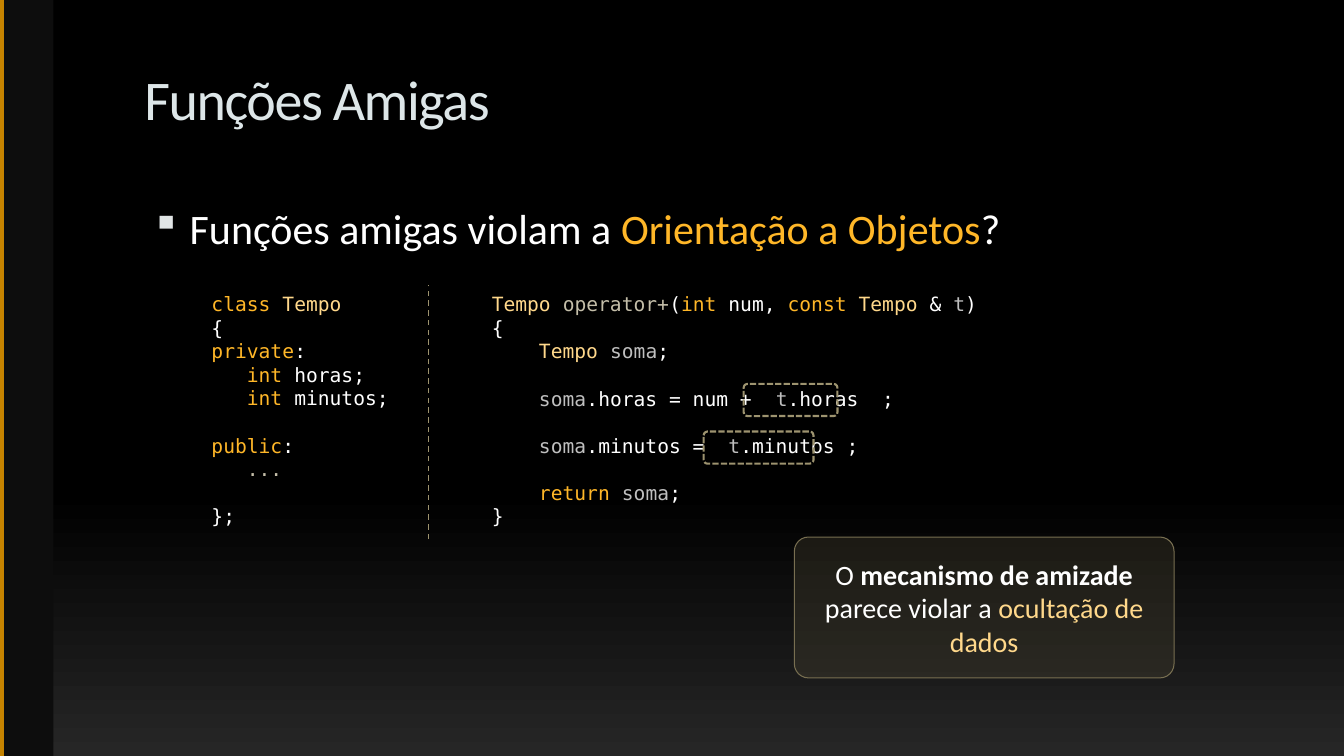
from lxml.etree import SubElement
from pptx import Presentation
from pptx.dml.color import RGBColor
from pptx.enum.dml import MSO_LINE
from pptx.enum.shapes import MSO_CONNECTOR, MSO_SHAPE
from pptx.enum.text import MSO_ANCHOR, PP_ALIGN
from pptx.oxml.ns import qn
from pptx.util import Pt

BLACK = RGBColor(0x00, 0x00, 0x00)
CHARCOAL = RGBColor(0x26, 0x26, 0x26)
PANEL = RGBColor(0x0D, 0x0D, 0x0D)
AMBER = RGBColor(0xC5, 0x83, 0x00)
TITLE = RGBColor(0xDD, 0xE6, 0xE8)
WHITE = RGBColor(0xFF, 0xFF, 0xFF)
ORANGE = RGBColor(0xFF, 0xB7, 0x28)
CREAM = RGBColor(0xFF, 0xD8, 0x8B)
SAND = RGBColor(0xC4, 0xBE, 0xA9)
GREY = RGBColor(0xBF, 0xBF, 0xBF)
KHAKI = RGBColor(0x9D, 0x93, 0x6F)
OLIVE = RGBColor(0x50, 0x4A, 0x36)
CALLOUT_LINE = RGBColor(0x78, 0x6F, 0x51)

SANS = "Calibri"
MONO = "DejaVu Sans Mono"
CODE_LINE = 16.9

CLASS_CODE = [
    [("class ", ORANGE), ("Tempo", CREAM)],
    [("{", WHITE)],
    [("private", ORANGE), (":", WHITE)],
    [("   int", ORANGE), (" horas;", WHITE)],
    [("   int", ORANGE), (" minutos;", WHITE)],
    [],
    [("public", ORANGE), (":", WHITE)],
    [("   ...", SAND)],
    [],
    [("};", WHITE)],
]
OPERATOR_CODE = [
    [("Tempo ", CREAM), ("operator+", SAND), ("(", WHITE), ("int", ORANGE),
     (" num, ", WHITE), ("const ", ORANGE), ("Tempo", CREAM), (" & ", WHITE),
     ("t", GREY), (")", WHITE)],
    [("{", WHITE)],
    [("    Tempo ", CREAM), ("soma", GREY), (";", WHITE)],
    [],
    [("    soma", GREY), (".horas = num +  ", WHITE), ("t", GREY), (".horas  ;", WHITE)],
    [],
    [("    soma", GREY), (".minutos =  ", WHITE), ("t", GREY), (".minutos ;", WHITE)],
    [],
    [("    return ", ORANGE), ("soma", GREY), (";", WHITE)],
    [("}", WHITE)],
]


def paint_background(slide):
    fill = slide.background.fill
    fill.gradient()
    fill.gradient_angle = 270
    for stop, position, colour in zip(fill.gradient_stops, (0.65, 1), (BLACK, CHARCOAL)):
        stop.position = position
        stop.color.rgb = colour


def add_runs(paragraph, pieces, font_name, size):
    for text, colour in pieces:
        run = paragraph.add_run()
        run.text = text
        run.font.name = font_name
        run.font.size = Pt(size)
        run.font.color.rgb = colour
    return paragraph.runs


def add_text_box(slide, left, top, width, height):
    text_frame = slide.shapes.add_textbox(
        Pt(left), Pt(top), Pt(width), Pt(height)).text_frame
    text_frame.word_wrap = True
    return text_frame


def add_bullet(paragraph):
    properties = paragraph._p.get_or_add_pPr()
    properties.set("marL", str(Pt(32.4)))
    properties.set("indent", str(Pt(-27.4)))
    colour = SubElement(properties, qn("a:buClr"))
    SubElement(colour, qn("a:srgbClr"), val="E0E4E5")
    SubElement(properties, qn("a:buSzPct"), val="95000")
    SubElement(properties, qn("a:buChar"), char="▪")


def add_code(slide, lines, left, top, width, height):
    text_frame = add_text_box(slide, left, top, width, height)
    paragraph = text_frame.paragraphs[0]
    gap = 0
    for index, pieces in enumerate(lines):
        if not pieces:
            gap += CODE_LINE
            continue
        if index:
            paragraph = text_frame.add_paragraph()
        if gap:
            paragraph.space_before = Pt(gap)
        add_runs(paragraph, pieces, MONO, 14)
        gap = 0


def add_box(slide, kind, left, top, width, height, corner=None):
    shape = slide.shapes.add_shape(kind, Pt(left), Pt(top), Pt(width), Pt(height))
    shape.shadow.inherit = False
    if corner is not None:
        shape.adjustments[0] = corner
    return shape


def add_line(slide, x, start_y, end_y, colour, weight):
    connector = slide.shapes.add_connector(
        MSO_CONNECTOR.STRAIGHT, Pt(x), Pt(start_y), Pt(x), Pt(end_y))
    connector.line.color.rgb = colour
    connector.line.width = Pt(weight)
    SubElement(connector._element.spPr, qn("a:effectLst"))
    return connector


def add_highlight(slide, left, top, width):
    shape = add_box(slide, MSO_SHAPE.ROUNDED_RECTANGLE, left, top, width, 23, 0.12)
    shape.fill.background()
    shape.line.color.rgb = KHAKI
    shape.line.width = Pt(1.5)
    shape.line.dash_style = MSO_LINE.SQUARE_DOT


def add_callout(slide, pieces, left, top, width, height):
    shape = add_box(slide, MSO_SHAPE.ROUNDED_RECTANGLE, left, top, width, height, 0.1)
    shape.fill.solid()
    shape.fill.fore_color.rgb = OLIVE
    fill_colour = shape._element.spPr.find(qn("a:solidFill"))[0]
    SubElement(fill_colour, qn("a:alpha"), val="30000")
    shape.line.color.rgb = CALLOUT_LINE
    shape.line.width = Pt(0.75)
    text_frame = shape.text_frame
    text_frame.word_wrap = True
    text_frame.vertical_anchor = MSO_ANCHOR.MIDDLE
    paragraph = text_frame.paragraphs[0]
    paragraph.alignment = PP_ALIGN.CENTER
    return add_runs(paragraph, pieces, SANS, 20)


def main():
    presentation = Presentation()
    presentation.slide_width = Pt(960)
    presentation.slide_height = Pt(540)
    slide = presentation.slides.add_slide(presentation.slide_layouts[6])
    paint_background(slide)

    panel = add_box(slide, MSO_SHAPE.RECTANGLE, 0, 0, 38.2, 540)
    panel.fill.solid()
    panel.fill.fore_color.rgb = PANEL
    panel.line.fill.background()
    add_line(slide, 1.5, 0, 540, AMBER, 3)

    title = add_text_box(slide, 96, 42.5, 685, 72).paragraphs[0]
    for run in add_runs(title, [("Funções Amigas", TITLE)], SANS, 40):
        run.font._element.set("spc", "-100")

    question = add_text_box(slide, 96, 141, 816, 60).paragraphs[0]
    add_bullet(question)
    add_runs(question, [("Funções amigas violam a ", WHITE),
                        ("Orientação a Objetos", ORANGE), ("?", WHITE)], SANS, 30)

    add_code(slide, CLASS_CODE, 144, 205.2, 160, 177)
    add_code(slide, OPERATOR_CODE, 344.2, 205.2, 374, 177)
    divider = add_line(slide, 306, 385.2, 203.8, KHAKI, 1)
    divider.line.dash_style = MSO_LINE.DASH
    add_highlight(slide, 531.2, 274.2, 67)
    add_highlight(slide, 502.6, 308.2, 78.5)

    callout_runs = add_callout(
        slide, [("O ", WHITE), ("mecanismo de amizade", WHITE),
                (" parece violar a ", WHITE), ("ocultação de dados", CREAM)],
        567.4, 383.6, 271.2, 100.6)
    callout_runs[1].font.bold = True

    presentation.save("out.pptx")


if __name__ == "__main__":
    main()
